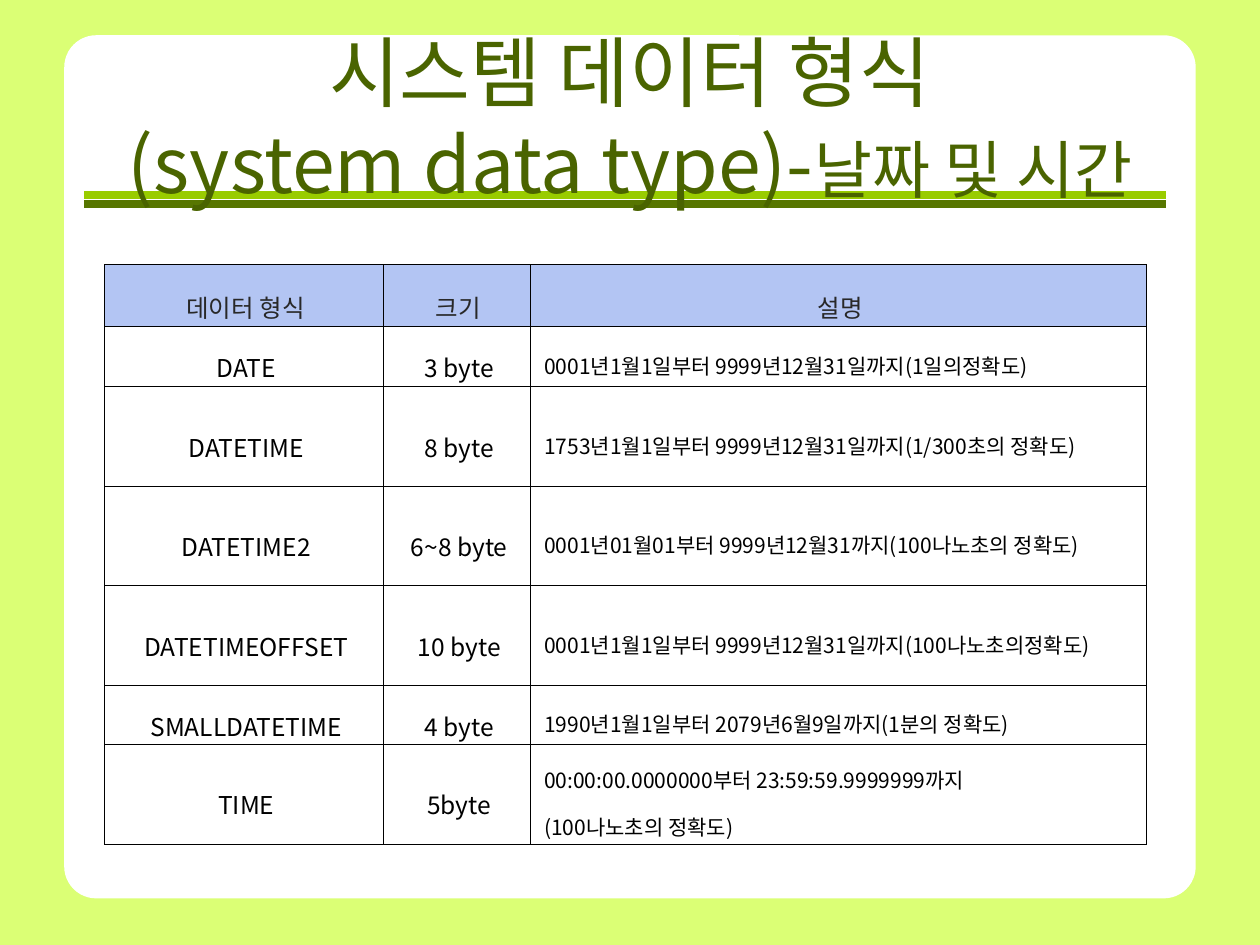
from lxml import etree
from pptx import Presentation
from pptx.dml.color import RGBColor
from pptx.enum.shapes import MSO_CONNECTOR, MSO_SHAPE
from pptx.enum.text import MSO_ANCHOR, PP_ALIGN
from pptx.oxml.ns import qn
from pptx.util import Inches, Pt

CENTER, LEFT = PP_ALIGN.CENTER, PP_ALIGN.LEFT
MIDDLE = MSO_ANCHOR.MIDDLE
STRAIGHT = MSO_CONNECTOR.STRAIGHT
ROUNDED_RECTANGLE = MSO_SHAPE.ROUNDED_RECTANGLE
FONT = "Noto Sans CJK KR"
COLORS = {
    "background": "DBFF75",
    "panel": "FFFFFF",
    "light_rule": "99CC00",
    "dark_rule": "577600",
    "title": "4A6400",
    "header_fill": "B3C5F3",
    "header_text": "282828",
    "body_text": "000000",
    "border": "000000",
}

TITLE_LINES = [
    [("시스템 데이터 형식", 44)],
    [("(system data type)-", 44), ("날짜 및 시간", 36)],
]
RULES = [(1.55, "light_rule"), (1.62, "dark_rule")]
HEADER = ("데이터 형식", "크기", "설명")
# Type, size, description paragraphs
DATA_TYPES = [
    ("DATE", "3 byte", ["0001년1월1일부터 9999년12월31일까지(1일의정확도)"]),
    ("DATETIME", "8 byte", ["1753년1월1일부터 9999년12월31일까지(1/300초의 정확도)"]),
    ("DATETIME2", "6~8 byte", ["0001년01월01부터 9999년12월31까지(100나노초의 정확도)"]),
    ("DATETIMEOFFSET", "10 byte", ["0001년1월1일부터 9999년12월31일까지(100나노초의정확도)"]),
    ("SMALLDATETIME", "4 byte", ["1990년1월1일부터 2079년6월9일까지(1분의 정확도)"]),
    ("TIME", "5byte", ["00:00:00.0000000부터 23:59:59.9999999까지", "(100나노초의 정확도)"]),
]
COLUMN_WIDTHS = [2.21, 1.17, 4.89]
ROW_HEIGHTS = [0.49, 0.48, 0.79, 0.79, 0.79, 0.47, 0.79]


def rgb(name):
    return RGBColor.from_string(COLORS[name])


def add_run(paragraph, text, size, color):
    run = paragraph.add_run()
    run.text = text
    run.font.size = Pt(size)
    run.font.color.rgb = rgb(color)
    run.font.name = FONT
    etree.SubElement(run.font._element, qn("a:ea"), typeface=FONT)


def add_panel(slide):
    panel = slide.shapes.add_shape(
        ROUNDED_RECTANGLE, Inches(0.51), Inches(0.28), Inches(8.98), Inches(6.85))
    panel.adjustments[0] = 0.037
    panel.shadow.inherit = False
    panel.fill.solid()
    panel.fill.fore_color.rgb = rgb("panel")
    panel.line.fill.background()


def add_rule(slide, y, color):
    rule = slide.shapes.add_connector(
        STRAIGHT, Inches(0.67), Inches(y), Inches(9.25), Inches(y))
    rule.line.color.rgb = rgb(color)
    rule.line.width = Pt(4.5)
    etree.SubElement(rule._element.spPr, qn("a:effectLst"))


def add_title(slide):
    title = slide.shapes.add_textbox(Inches(0.5), Inches(0.3), Inches(9), Inches(1.25))
    frame = title.text_frame
    frame.word_wrap = True
    frame.vertical_anchor = MIDDLE
    paragraph = frame.paragraphs[0]
    paragraph.alignment = CENTER
    for index, line in enumerate(TITLE_LINES):
        if index:
            paragraph.add_line_break()
        for text, size in line:
            add_run(paragraph, text, size, "title")


def add_borders(cell):
    properties = cell._tc.get_or_add_tcPr()
    for side in ("lnL", "lnR", "lnT", "lnB"):
        border = etree.SubElement(properties, qn(f"a:{side}"), w=str(Pt(0.4)))
        fill = etree.SubElement(border, qn("a:solidFill"))
        etree.SubElement(fill, qn("a:srgbClr"), val=COLORS["border"])


def fill_cell(cell, texts, is_header, is_description):
    cell.vertical_anchor = MIDDLE
    cell.margin_left = cell.margin_right = Inches(0.07)
    cell.margin_top = cell.margin_bottom = Inches(0.02)
    add_borders(cell)
    if is_header:
        cell.fill.solid()
        cell.fill.fore_color.rgb = rgb("header_fill")
    else:
        cell.fill.background()
    frame = cell.text_frame
    for index, text in enumerate(texts):
        paragraph = frame.add_paragraph() if index else frame.paragraphs[0]
        paragraph.alignment = LEFT if is_description else CENTER
        paragraph.line_spacing = 1.6 if is_header else 1.55
        indent = Inches(0.03 if is_header else 0.04)
        paragraph._p.get_or_add_pPr().set("marL", str(indent))
        add_run(paragraph, text, 12 if is_description else 14,
                "header_text" if is_header else "body_text")


def add_type_table(slide):
    rows = [[[text] for text in HEADER]]
    rows += [[[name], [size], description] for name, size, description in DATA_TYPES]
    table = slide.shapes.add_table(
        len(rows), len(HEADER), Inches(0.83), Inches(2.1),
        Inches(sum(COLUMN_WIDTHS)), Inches(sum(ROW_HEIGHTS))).table
    table.first_row = table.horz_banding = False
    for column, width in zip(table.columns, COLUMN_WIDTHS):
        column.width = Inches(width)
    for row, height in zip(table.rows, ROW_HEIGHTS):
        row.height = Inches(height)
    for r, row in enumerate(rows):
        for c, texts in enumerate(row):
            fill_cell(table.cell(r, c), texts, r == 0, r > 0 and c == 2)


def main():
    presentation = Presentation()
    presentation.slide_width, presentation.slide_height = Inches(10), Inches(7.5)
    slide = presentation.slides.add_slide(presentation.slide_layouts[6])
    slide.background.fill.solid()
    slide.background.fill.fore_color.rgb = rgb("background")
    add_panel(slide)
    for y, color in RULES:
        add_rule(slide, y, color)
    add_title(slide)
    add_type_table(slide)
    presentation.save("out.pptx")


if __name__ == "__main__":
    main()
